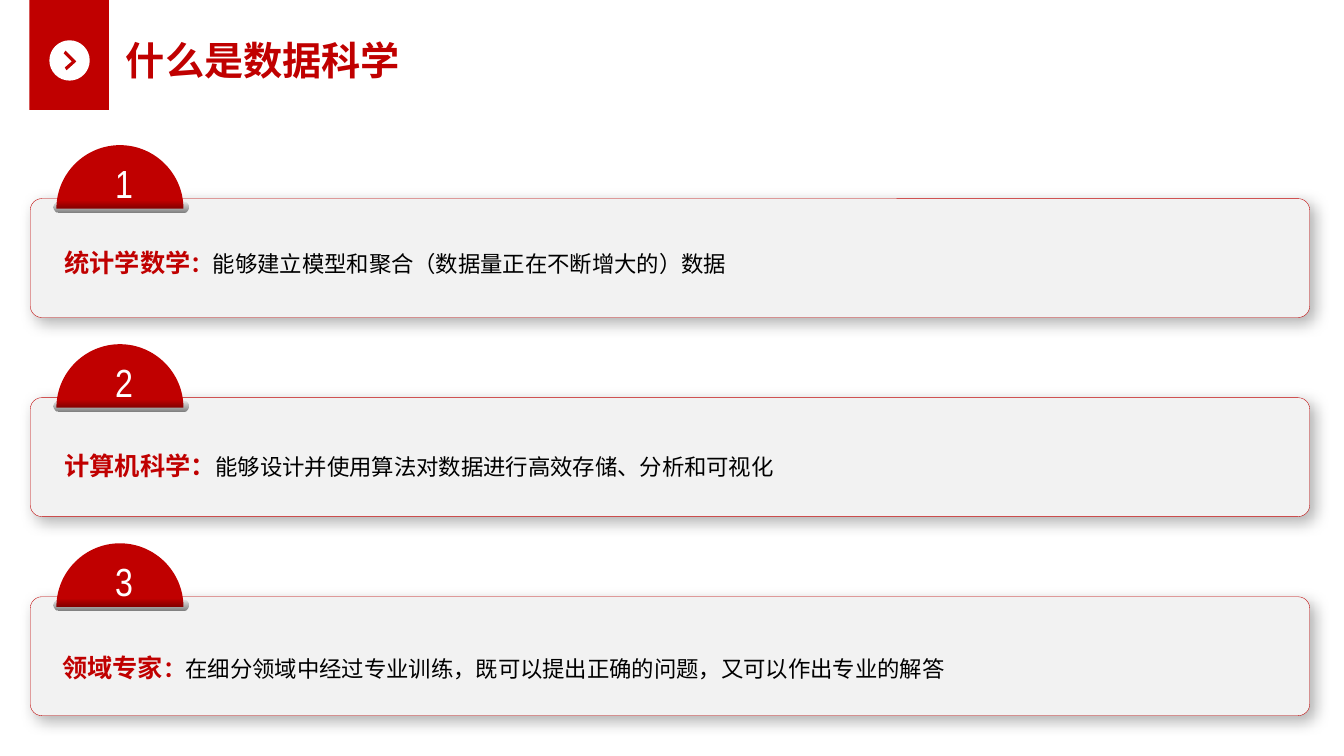
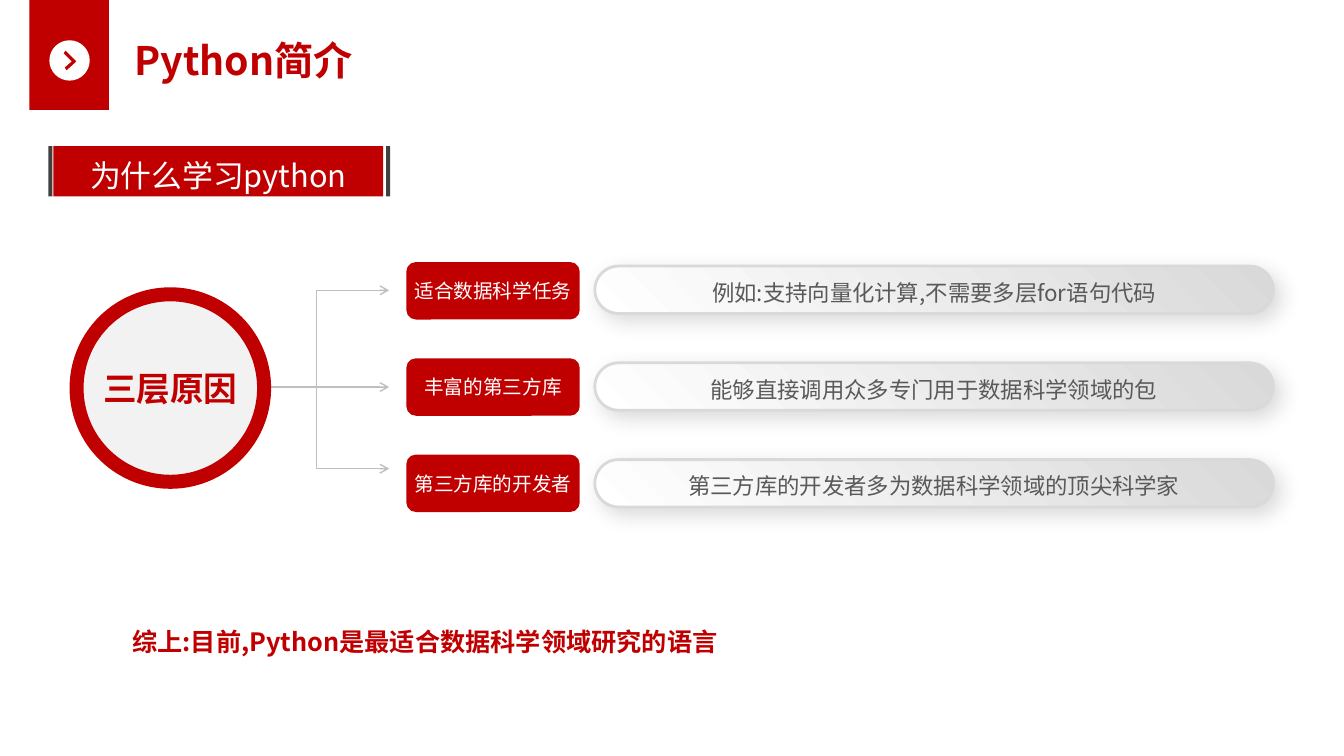
from pptx import Presentation
from pptx.dml.color import RGBColor
from pptx.enum.shapes import MSO_CONNECTOR as LINK, MSO_SHAPE as FORM
from pptx.enum.text import MSO_ANCHOR as ANCHOR, PP_ALIGN as ALIGN
from pptx.oxml.ns import qn
from pptx.util import Inches, Pt
from lxml.etree import SubElement

RED = RGBColor(0xC0, 0x00, 0x00)
WHITE = RGBColor(0xFF, 0xFF, 0xFF)
BLACK = RGBColor(0x00, 0x00, 0x00)
PALE = RGBColor(0xF2, 0xF2, 0xF2)
SILVER = RGBColor(0xD9, 0xD9, 0xD9)
GREY = RGBColor(0xBF, 0xBF, 0xBF)
SLATE = RGBColor(0x59, 0x59, 0x59)
CHARCOAL = RGBColor(0x40, 0x40, 0x40)
SANS = "Noto Sans CJK SC"
NARROW = "Arial Narrow"
# Unit circle from its left point over the top: Bezier controls and end points
BEND = 0.55
UPPER = [(-1, -BEND), (-BEND, -1), (0, -1), (BEND, -1), (1, -BEND), (1, 0)]
LOWER = [(-x, -y) for x, y in UPPER]


def paint(shape, fill, line=None, weight=0, shadow=None, angle=0):
    """Fill with a colour, or with a gradient of two (colour, opacity) stops."""
    if isinstance(fill, list):
        shape.fill.gradient()
        shape.fill.gradient_angle = angle
        for stop, (colour, opacity) in zip(shape.fill.gradient_stops, fill):
            stop.color.rgb = colour
        for mark, (colour, opacity) in zip(shape._element.spPr.iter(qn("a:srgbClr")), fill):
            SubElement(mark, qn("a:alpha"), val=str(opacity * 1000))
    else:
        shape.fill.solid()
        shape.fill.fore_color.rgb = fill
    if line is None:
        shape.line.fill.background()
    else:
        shape.line.color.rgb = line
        shape.line.width = Pt(weight)
    shape.shadow.inherit = False
    if shadow:
        opacity, blur, distance = shadow
        effects = shape._element.spPr.find(qn("a:effectLst"))
        outer = SubElement(effects, qn("a:outerShdw"), blurRad=str(Pt(blur)),
                           dist=str(Pt(distance)), dir="2700000", algn="tl", rotWithShape="0")
        colour = SubElement(outer, qn("a:srgbClr"), val=str(BLACK))
        SubElement(colour, qn("a:alpha"), val=str(opacity * 1000))


def write(shape, runs, align=ALIGN.LEFT, anchor=ANCHOR.TOP, spacing=None, wrap=True):
    """Write one paragraph of (text, size, colour, bold, font) runs."""
    frame = shape.text_frame
    frame.word_wrap = wrap
    frame.vertical_anchor = anchor
    para = frame.paragraphs[0]
    para.alignment = align
    if spacing:
        para.line_spacing = spacing
    for text, size, colour, bold, font in runs:
        span = para.add_run()
        span.text = text
        span.font.size = Pt(size)
        span.font.color.rgb = colour
        span.font.bold = bold
        span.font.name = font
        SubElement(span._r.get_or_add_rPr(), qn("a:ea"), typeface=font)


deck = Presentation()
deck.slide_width, deck.slide_height = Inches(13.33), Inches(7.5)
layout = deck.slide_layouts[6]
definition, reasons = [deck.slides.add_slide(layout) for _ in range(2)]
curves = []  # (shape, number of leading segments that stay straight)

# Shared header: red band and round chevron badge, kept on the layout
band = definition.shapes.add_shape(FORM.RECTANGLE, Inches(0.29), 0, Inches(0.79), Inches(1.09))
paint(band, RED)
chevron = [(0.65, 0.5), (0.63, 0.53), (0.71, 0.61), (0.64, 0.67), (0.66, 0.7), (0.76, 0.61)]
chevron = [(Inches(x), Inches(y)) for x, y in chevron]
outline = definition.shapes.build_freeform(*chevron[0])
outline.add_line_segments(chevron[1:])
outline.move_to(Inches(0.49), Inches(0.6))
outline.add_line_segments([(Inches(0.69 + 0.2 * x), Inches(0.6 + 0.2 * y))
                           for x, y in UPPER + LOWER])
badge = outline.convert_to_shape()
paint(badge, WHITE)
curves.append((badge, len(chevron) - 1))
for part in (band, badge):
    layout.shapes._spTree.append(part._element)

# Titles
for page, title in [(definition, "什么是数据科学"), (reasons, " Python简介")]:
    heading = page.shapes.add_textbox(Inches(1.15), Inches(0.31), Inches(9.11), Inches(0.57))
    write(heading, [(title, 28, RED, True, SANS)])

# Slide 1: three numbered cards
cards = [
    ("统计学数学", 16, "能够建立模型和聚合（数据量正在不断增大的）数据", 0.54, 0.37),
    ("计算机科学", 18, "能够设计并使用算法对数据进行高效存储、分析和可视化", 0.54, 0.41),
    ("领域专家", 16, "在细分领域中经过专业训练，既可以提出正确的问题，又可以作出专业的解答", 0.52, 0.44),
]
for index, (skill, colon_size, detail, text_left, text_drop) in enumerate(cards):
    top = 1.97 + index * 1.975
    card = definition.shapes.add_shape(FORM.ROUNDED_RECTANGLE, Inches(0.3), Inches(top),
                                       Inches(12.69), Inches(1.18))
    card.adjustments[0] = 0.098
    paint(card, PALE, RED, 0.25, shadow=(29, 11, 4))

    outline = definition.shapes.build_freeform(Inches(0.56), Inches(top + 0.1))
    outline.add_line_segments([(Inches(1.19 + 0.63 * x), Inches(top + 0.1 + 0.63 * y))
                               for x, y in UPPER])
    dome = outline.convert_to_shape()
    paint(dome, RED)
    curves.append((dome, 0))

    slot = definition.shapes.add_shape(FORM.ROUNDED_RECTANGLE, Inches(0.53), Inches(top + 0.03),
                                       Inches(1.34), Inches(0.11))
    slot.adjustments[0] = 0.5
    paint(slot, [(BLACK, 0), (BLACK, 51)], angle=270)

    number = definition.shapes.add_textbox(Inches(0.6), Inches(top - 0.44),
                                           Inches(1.26), Inches(0.57))
    write(number, [(str(index + 1), 28, WHITE, False, NARROW)], ALIGN.CENTER)
    box = definition.shapes.add_textbox(Inches(text_left), Inches(top + text_drop),
                                        Inches(12.25), Inches(0.43))
    write(box, [(skill, 18, RED, True, SANS), ("：", colon_size, RED, True, SANS),
                (detail, 16, BLACK, False, SANS)], spacing=1.2)

# Round the badge and the domes: three points make one Bezier segment
for shape, straight in curves:
    segments = list(shape._element.iter(qn("a:lnTo")))[straight:]
    for first, second, third in zip(segments[::3], segments[1::3], segments[2::3]):
        outline = first.getparent()
        curve = SubElement(outline, qn("a:cubicBezTo"))
        outline.replace(first, curve)
        for segment in (first, second, third):
            curve.append(segment[0])
        outline.remove(second)
        outline.remove(third)

# Slide 2: conclusion
conclusion = reasons.shapes.add_textbox(Inches(0.59), Inches(6.1), Inches(6.96), Inches(0.43))
write(conclusion, [("综上:目前,Python是最适合数据科学领域研究的语言", 18, RED, True, SANS)],
      ALIGN.CENTER, spacing=1.2)
conclusion.text_frame.paragraphs[0]._p.get_or_add_pPr().set("indent", str(Inches(0.29)))

# Arrows from the circle: each drawn from its tip back to its start
for kind, tip, start_left, start_top in [(LINK.ELBOW, 2.88, 3.14, 3.73),
                                         (LINK.STRAIGHT, 3.84, 2.1, 3.84),
                                         (LINK.ELBOW, 4.65, 3.14, 3.56)]:
    arrow = reasons.shapes.add_connector(kind, Inches(3.86), Inches(tip),
                                         Inches(start_left), Inches(start_top))
    arrow.line.color.rgb = GREY
    arrow.line.width = Pt(1)
    SubElement(arrow.line._get_or_add_ln(), qn("a:headEnd"), type="arrow")
    properties = arrow._element.spPr
    SubElement(properties, qn("a:effectLst"))
    if kind == LINK.ELBOW:
        properties.find(qn("a:prstGeom")).set("prst", "bentConnector2")

# Reason buttons and their explanations
rows = [
    ("适合数据科学任务", "例如:支持向量化计算,不需要多层for语句代码"),
    ("丰富的第三方库", "能够直接调用众多专门用于数据科学领域的包"),
    ("第三方库的开发者", "第三方库的开发者多为数据科学领域的顶尖科学家"),
]
for index, (reason, explanation) in enumerate(rows):
    button = reasons.shapes.add_shape(FORM.ROUNDED_RECTANGLE, Inches(4.03),
                                      Inches(2.6 + index * 0.955), Inches(1.72), Inches(0.57))
    paint(button, RED)
    write(button, [(reason, 14, WHITE, False, SANS)], ALIGN.CENTER, ANCHOR.MIDDLE, wrap=False)

    pill = reasons.shapes.add_shape(FORM.ROUNDED_RECTANGLE, Inches(5.9),
                                    Inches(2.64 + index * 0.96), Inches(6.73), Inches(0.47))
    pill.adjustments[0] = 0.5
    paint(pill, [(SILVER, 100), (WHITE, 100)], SILVER, 2, shadow=(15, 15, 6), angle=225)
    write(pill, [(explanation, 16, SLATE, False, SANS)],
          ALIGN.CENTER, ANCHOR.MIDDLE, 1.2, wrap=False)

# Circle with the theme
circle = reasons.shapes.add_shape(FORM.OVAL, Inches(0.76), Inches(2.92), Inches(1.86), Inches(1.86))
paint(circle, PALE, RED, 10)
write(circle, [("三层原因", 24, RED, True, SANS)], ALIGN.CENTER, ANCHOR.MIDDLE, wrap=False)

# Banner between two dark bars
banner = reasons.shapes.add_shape(FORM.RECTANGLE, Inches(0.53), Inches(1.45),
                                  Inches(3.27), Inches(0.5))
paint(banner, RED)
write(banner, [("为什么学习python", 22, WHITE, False, SANS)],
      ALIGN.CENTER, ANCHOR.MIDDLE, 1.2, wrap=False)
for left in (0.48, 3.83):
    bar = reasons.shapes.add_shape(FORM.RECTANGLE, Inches(left), Inches(1.45),
                                   Inches(0.04), Inches(0.5))
    paint(bar, CHARCOAL)

deck.save("out.pptx")
